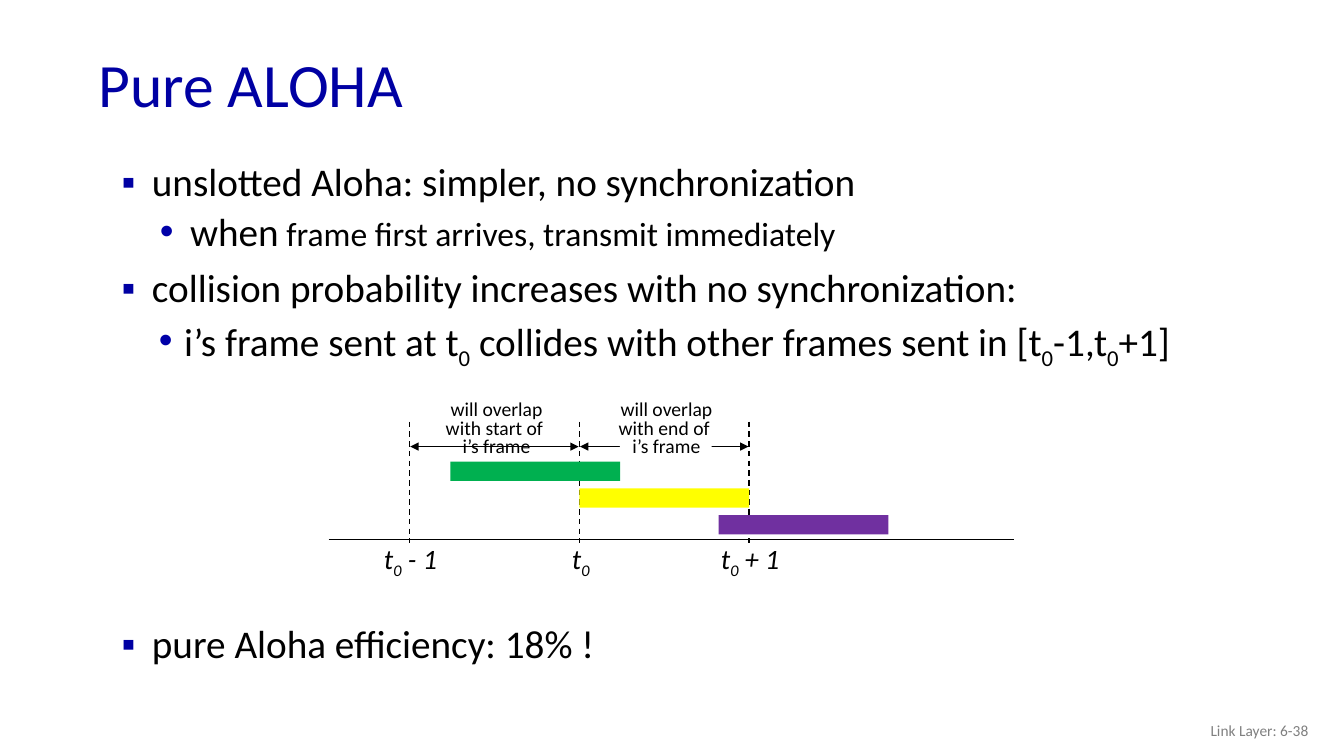
from lxml import etree
from pptx import Presentation
from pptx.dml.color import RGBColor
from pptx.enum.dml import MSO_LINE
from pptx.enum.shapes import MSO_CONNECTOR, MSO_SHAPE
from pptx.enum.text import MSO_ANCHOR, MSO_AUTO_SIZE, PP_ALIGN
from pptx.oxml.ns import qn
from pptx.util import Pt

COLORS = {"title": "0000A3", "sub_bullet": "0000A8", "text": "000000", "footer": "808080",
          "white": "FFFFFF", "green": "00B050", "yellow": "FFFF00", "purple": "7030A0"}
FONT = "Calibri"

# Content: a run is (text, size) or (text, size, "sub") for a subscript
TITLE = [("Pure ALOHA", 44)]
FOOTER = [("Link Layer: 6-38", 11)]
# Bullets: level, left indent, hanging indent, runs
MAIN_BULLETS = [
    (0, 31.7, 21.6, [("unslotted Aloha: simpler, no synchronization", 28)]),
    (1, 59, 21.6, [("when", 28), (" frame first arrives, transmit immediately", 24)]),
    (0, 31.7, 21.6, [("collision probability increases with no synchronization:", 28)]),
    (1, 54.7, 18, [("i’s frame sent at t", 28), ("0", 28, "sub"),
                   (" collides with other frames sent in [t", 28), ("0", 28, "sub"),
                   ("-1,t", 28), ("0", 28, "sub"), ("+1]", 28)]),
]
CLOSING_BULLETS = [(0, 31.7, 21.6, [("pure Aloha efficiency: 18% !", 28)])]
BULLET_STYLES = [("▪", "title", 10), ("•", "sub_bullet", 5)]

# Time labels: text after t0, box width
TIME_LABELS = [(" - 1", 54), ("", 28), (" + 1", 57.6)]
CAPTIONS = [(["will overlap", "with start of ", "i’s frame"], 87.8),
            (["will overlap", "with end of ", "i’s frame"], 83.5)]
# Frames: colour, start in frame times after t0 - 1
FRAMES = [("green", 0.24), ("yellow", 1), ("purple", 1.82)]

# Diagram measures
FIRST_TICK, FRAME_TIME = 292.5, 121.3
AXIS_Y, ARROW_Y = 385.2, 319
FRAME_TOP, FRAME_STEP, FRAME_HEIGHT = 329.8, 19.1, 13.7
TEXT_SHIFT = 1.6

presentation = Presentation()
presentation.slide_width, presentation.slide_height = Pt(960), Pt(540)
slide = presentation.slides.add_slide(presentation.slide_layouts[6])


def rgb(name):
    return RGBColor.from_string(COLORS[name])


def add_box(left, top, width, height, wrap=True, anchor=MSO_ANCHOR.TOP):
    frame = slide.shapes.add_textbox(Pt(left), Pt(top), Pt(width), Pt(height)).text_frame
    frame.word_wrap = wrap
    frame.auto_size = MSO_AUTO_SIZE.NONE if wrap else MSO_AUTO_SIZE.SHAPE_TO_FIT_TEXT
    frame.vertical_anchor = anchor
    return frame


def next_paragraph(frame, index):
    return frame.add_paragraph() if index else frame.paragraphs[0]


def add_runs(paragraph, runs, color="text", italic=False):
    for text, size, *position in runs:
        run = paragraph.add_run()
        run.text = text
        run.font.name, run.font.size = FONT, Pt(size)
        run.font.color.rgb = rgb(color)
        if italic:
            run.font.italic = True
        if position:
            run.font._element.set("baseline", "-25000")


def add_bullets(top, height, bullets):
    frame = add_box(69.8, top, 828, height)
    for index, (level, indent, hanging, runs) in enumerate(bullets):
        mark, color, space = BULLET_STYLES[level]
        paragraph = next_paragraph(frame, index)
        paragraph.level = level
        properties = paragraph._p.get_or_add_pPr()
        properties.set("marL", str(Pt(indent)))
        properties.set("indent", str(-Pt(hanging)))
        bullet_color = etree.SubElement(properties, qn("a:buClr"))
        etree.SubElement(bullet_color, qn("a:srgbClr"), val=COLORS[color])
        etree.SubElement(properties, qn("a:buFont"), typeface="Arial")
        etree.SubElement(properties, qn("a:buChar"), char=mark)
        paragraph.line_spacing = 0.9
        paragraph.space_before = Pt(space if index else 0)
        add_runs(paragraph, runs)


def add_line(x1, y1, x2, y2, dashed=False, arrows=False):
    line = slide.shapes.add_connector(MSO_CONNECTOR.STRAIGHT, Pt(x1), Pt(y1), Pt(x2), Pt(y2))
    line.line.color.rgb = rgb("text")
    line.line.width = Pt(1)
    if dashed:
        line.line.dash_style = MSO_LINE.DASH
    if arrows:
        outline = line.line._get_or_add_ln()
        for end in ("a:headEnd", "a:tailEnd"):
            etree.SubElement(outline, qn(end), type="triangle")
    etree.SubElement(line._element.spPr, qn("a:effectLst"))


def add_bar(left, top, width, height, color):
    bar = slide.shapes.add_shape(MSO_SHAPE.RECTANGLE, Pt(left), Pt(top), Pt(width), Pt(height))
    bar.shadow.inherit = False
    bar.fill.solid()
    bar.fill.fore_color.rgb = rgb(color)
    bar.line.fill.background()


# Title and footer
title = add_box(63.4, 27.4, 828, 70.6, anchor=MSO_ANCHOR.MIDDLE).paragraphs[0]
title.line_spacing = 0.9
add_runs(title, TITLE, "title")
footer = add_box(725.8, 507.6, 216, 28.8, anchor=MSO_ANCHOR.MIDDLE).paragraphs[0]
footer.alignment = PP_ALIGN.RIGHT
add_runs(footer, FOOTER, "footer")

# Bullets above and below the diagram
add_bullets(113, 182.2, MAIN_BULLETS)
add_bullets(442.8, 49, CLOSING_BULLETS)

# Overlap arrows, with a gap in the second one for its caption
ticks = [FIRST_TICK + index * FRAME_TIME for index in range(len(TIME_LABELS))]
for start, end in zip(ticks, ticks[1:]):
    add_line(start + 0.5, ARROW_Y, end - 0.5, ARROW_Y, arrows=True)
add_bar(442.8, 316.1, 65.5, 4.3, "white")

# Time axis with dashed ticks and labels
add_line(234.7, AXIS_Y, 724.3, AXIS_Y)
for tick, (suffix, width) in zip(ticks, TIME_LABELS):
    add_line(tick, 301.2, tick, 387.6, dashed=True)
    label = add_box(tick + TEXT_SHIFT - width / 2, 383.2, width, 31.7, wrap=False)
    runs = [("t", 20), ("0", 20, "sub")] + ([(suffix, 20)] if suffix else [])
    add_runs(label.paragraphs[0], runs, italic=True)

# Frames
for row, (color, start) in enumerate(FRAMES):
    add_bar(FIRST_TICK + start * FRAME_TIME, FRAME_TOP + row * FRAME_STEP,
            FRAME_TIME, FRAME_HEIGHT, color)

# Captions centred between ticks
for tick, (lines, width) in zip(ticks, CAPTIONS):
    center = tick + FRAME_TIME / 2 + TEXT_SHIFT
    caption = add_box(center - width / 2, 283, width, 48.2, wrap=False)
    for index, text in enumerate(lines):
        paragraph = next_paragraph(caption, index)
        paragraph.alignment = PP_ALIGN.CENTER
        paragraph.line_spacing = 0.8
        add_runs(paragraph, [(text, 14)])

presentation.save("out.pptx")
